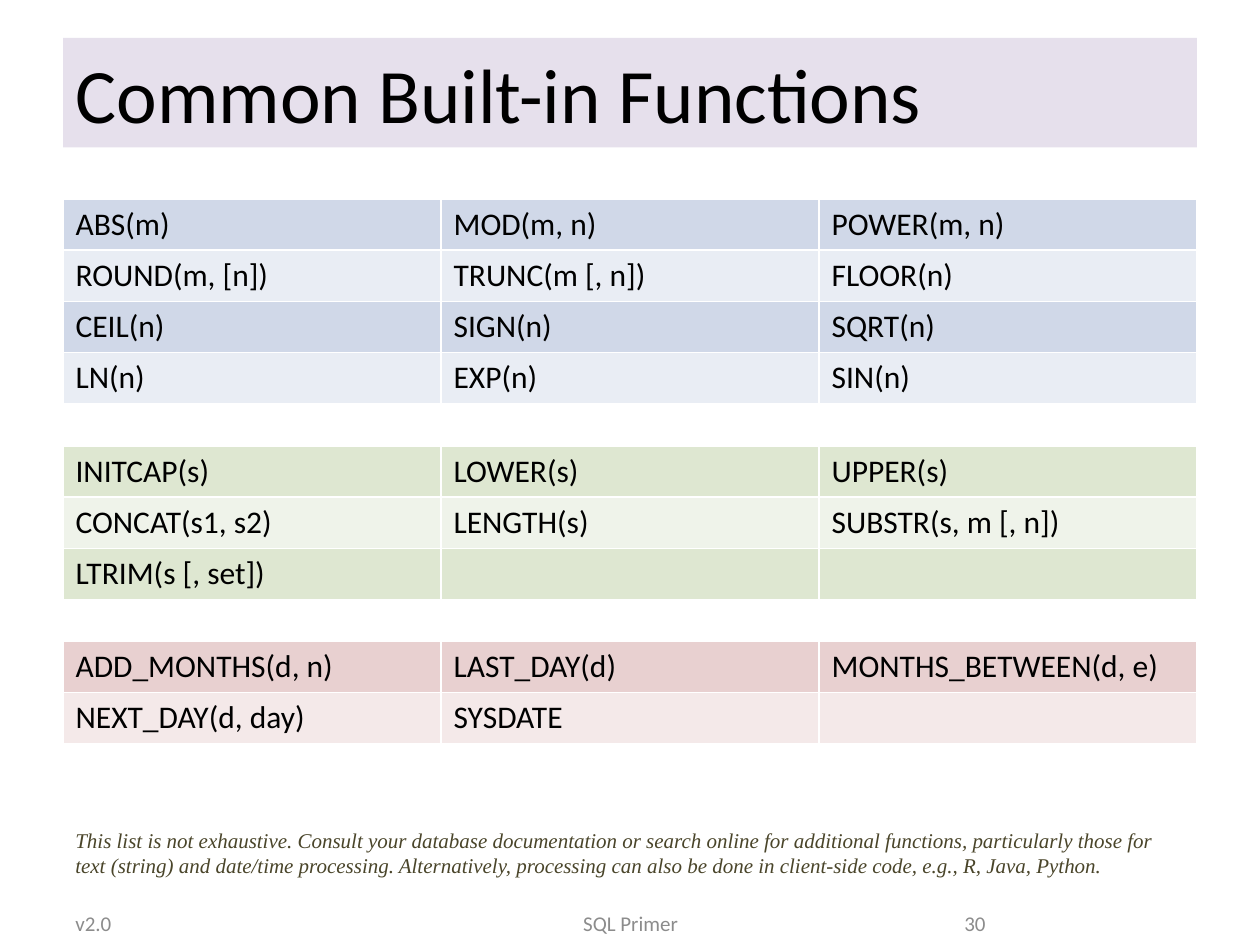
from lxml import etree
from pptx import Presentation
from pptx import util as u
from pptx.dml.color import RGBColor
from pptx.enum import text
from pptx.oxml import ns

BLACK = RGBColor(0x00, 0x00, 0x00)
WHITE = RGBColor(0xFF, 0xFF, 0xFF)
GRAY = RGBColor(0x8C, 0x8C, 0x8C)
BROWN = RGBColor(0x4A, 0x45, 0x2A)
LILAC = RGBColor(0xE6, 0xE0, 0xEC)
BLUES = RGBColor(0xD0, 0xD8, 0xE8), RGBColor(0xE9, 0xED, 0xF4)
GREENS = RGBColor(0xDE, 0xE7, 0xD1), RGBColor(0xEF, 0xF3, 0xEA)
REDS = RGBColor(0xE8, 0xD0, 0xD0), RGBColor(0xF4, 0xE9, 0xE9)

LEFT, WIDE = 0.5, 9
ROW = u.Pt(29.2)
COLS = 3
SANS, SERIF = "Calibri", "Times New Roman"
START, MID, END = text.PP_ALIGN.LEFT, text.PP_ALIGN.CENTER, text.PP_ALIGN.RIGHT

MATH = [
    ["ABS(m)", "MOD(m, n)", "POWER(m, n)"],
    ["ROUND(m, [n])", "TRUNC(m [, n])", "FLOOR(n)"],
    ["CEIL(n)", "SIGN(n)", "SQRT(n)"],
    ["LN(n)", "EXP(n)", "SIN(n)"],
]
STRINGS = [
    ["INITCAP(s)", "LOWER(s)", "UPPER(s)"],
    ["CONCAT(s1, s2)", "LENGTH(s)", "SUBSTR(s, m [, n])"],
    ["LTRIM(s [, set])", "", ""],
]
DATES = [
    ["ADD_MONTHS(d, n)", "LAST_DAY(d)", "MONTHS_BETWEEN(d, e)"],
    ["NEXT_DAY(d, day)", "SYSDATE", ""],
]
NOTE = (
    "This list is not exhaustive. Consult your database documentation or search "
    "online for additional functions, particularly those for text (string) and "
    "date/time processing. Alternatively, processing can also be done in "
    "client-side code, e.g., R, Java, Python."
)


def write(frame, words, size, color, face=SANS, align=START, slant=False):
    para = frame.paragraphs[0]
    para.alignment = align
    run = para.add_run()
    run.text = words
    font = run.font
    font.size, font.name, font.italic = u.Pt(size), face, slant
    font.color.rgb = color


def add_title(slide, words):
    title = slide.shapes.title
    title.left, title.top = u.Inches(LEFT), u.Inches(0.3)
    title.width, title.height = u.Inches(WIDE), u.Inches(0.87)
    title.fill.solid()
    title.fill.fore_color.rgb = LILAC
    title.text_frame.vertical_anchor = text.MSO_ANCHOR.MIDDLE
    write(title.text_frame, words, 44, BLACK)


def add_label(slide, words, left, top, width, height, anchor, **style):
    box = slide.shapes.add_textbox(*map(u.Inches, (left, top, width, height)))
    frame = box.text_frame
    frame.word_wrap = True
    frame.vertical_anchor = anchor
    write(frame, words, 12, **style)
    return frame


def edge(cell):
    """Draw thin white lines on all four sides; call before filling."""
    props = cell._tc.get_or_add_tcPr()
    for side in ("a:lnL", "a:lnR", "a:lnT", "a:lnB"):
        line = etree.SubElement(props, ns.qn(side), w=str(u.Pt(1)))
        fill = etree.SubElement(line, ns.qn("a:solidFill"))
        etree.SubElement(fill, ns.qn("a:srgbClr"), val=str(WHITE))


def add_grid(slide, rows, top, bands):
    """Add a table whose rows alternate between two colours."""
    table = slide.shapes.add_table(
        len(rows), COLS, u.Inches(LEFT), u.Inches(top),
        u.Inches(WIDE), ROW * len(rows)).table
    table.first_row = table.horz_banding = False
    for r, row in enumerate(rows):
        table.rows[r].height = ROW
        for c, words in enumerate(row):
            cell = table.cell(r, c)
            edge(cell)
            cell.fill.solid()
            cell.fill.fore_color.rgb = bands[r % 2]
            if words:
                write(cell.text_frame, words, 18, BLACK)


def main():
    deck = Presentation()
    deck.slide_width, deck.slide_height = u.Inches(10), u.Inches(7.5)
    slide = deck.slides.add_slide(deck.slide_layouts[5])
    add_title(slide, "Common Built-in Functions")

    for rows, top, bands in ((MATH, 1.58, BLUES), (STRINGS, 3.54, GREENS),
                             (DATES, 5.09, REDS)):
        add_grid(slide, rows, top, bands)

    for words, left, width, align in (("v2.0", LEFT, 2.33, START),
                                      ("SQL Primer", 3.42, 3.17, MID),
                                      ("30", 7.17, 0.75, END)):
        add_label(slide, words, left, 7.17, width, 0.31,
                  text.MSO_ANCHOR.MIDDLE, color=GRAY, align=align)

    note = add_label(slide, NOTE, LEFT, 6.52, WIDE, 0.5, text.MSO_ANCHOR.TOP,
                     color=BROWN, face=SERIF, slant=True)
    note.auto_size = text.MSO_AUTO_SIZE.SHAPE_TO_FIT_TEXT
    deck.save("out.pptx")


if __name__ == "__main__":
    main()
